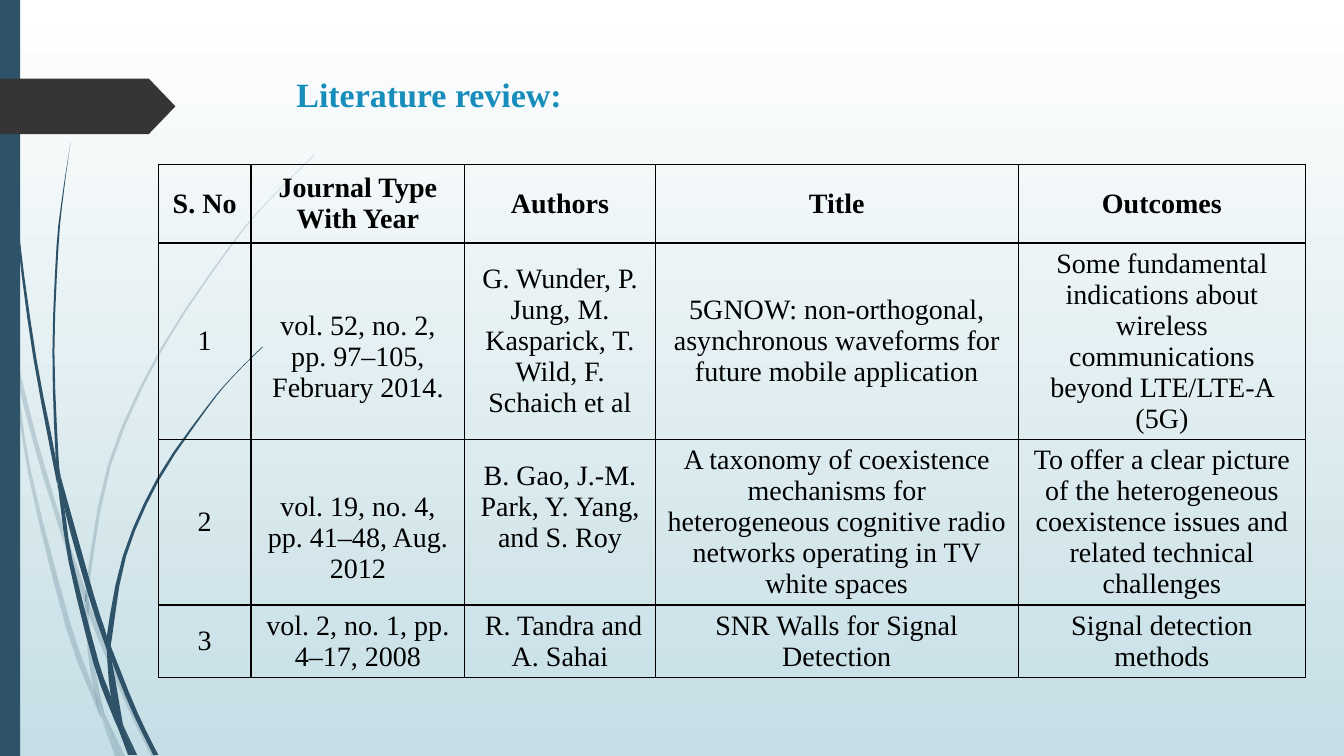
import pptx
import pptx.util
import pptx.dml.color
import pptx.enum.shapes
import pptx.enum.text
import pptx.oxml
import pptx.oxml.ns

Inches, Pt = pptx.util.Inches, pptx.util.Pt
W, H = 13.33, 7.5
FONT = "Times New Roman"
COLORS = {"navy": "2E5369", "tag": "353535", "title": "178DBB",
          "text": "000000", "top": "FFFFFF", "bottom": "C5DEE5"}

# Each piece of grass: its left edge, then its right edge, from the top down
PALE_GRASS = [
    ([(0, 2.82), (0, 2.99), (.1, 3.44), (.11, 3.5)], [(0, 2.82), (.09, 3.22), (.11, 3.5)]),
    ([(.14, 3.45), (.17, 3.76), (.36, 4.5), (.58, 5.22), (.84, 5.99)],
     [(.14, 3.45), (.36, 4.33), (.62, 5.2), (.85, 5.86), (.84, 5.99)]),
    ([(.88, 5.96), (.88, 6.1), (1.23, 6.94), (1.5, 7.5)],
     [(.88, 5.96), (.92, 6.07), (1.27, 6.92), (1.55, 7.5)]),
    ([(1.05, 7.11), (1.19, 7.5)], [(1.05, 7.11), (1.24, 7.5)]),
    ([(.11, 3.5), (.28, 4.7), (.65, 6.21), (.92, 6.93), (1.01, 7.14)],
     [(.11, 3.5), (.17, 3.76), (.31, 4.69), (.7, 6.19), (.93, 6.83), (1.01, 7.14)]),
    ([(.84, 5.99), (.87, 6.46), (.93, 6.83), (1.05, 7.11)],
     [(.84, 5.99), (.88, 6.1), (.91, 6.46), (1.03, 7.06), (1.05, 7.11)]),
    ([(3.12, 1.53), (2.68, 1.97), (2.28, 2.44), (1.58, 3.48), (1.07, 4.61), (.85, 5.84),
      (.88, 5.96)],
     [(3.12, 1.54), (2.68, 1.98), (2.29, 2.45), (1.6, 3.49), (1.1, 4.62), (.88, 5.84),
      (.88, 5.96)]),
    ([(1.01, 7.14), (1.14, 7.5)], [(1.01, 7.14), (1.19, 7.5)]),
    ([(.85, 5.86), (.84, 5.99), (.88, 6.1)], [(.85, 5.86), (.88, 5.96), (.88, 6.1)]),
    ([(.93, 6.83), (.99, 7.07), (1.19, 7.5)], [(.93, 6.83), (1.05, 7.11), (1.19, 7.5)]),
]
DARK_GRASS = [
    ([(.03, 0), (.04, .48), (.07, 1.1), (.17, 2.33), (.33, 3.55), (.56, 4.77), (.57, 4.81)],
     [(.04, 0), (.05, .48), (.08, 1.09), (.19, 2.32), (.36, 3.55), (.55, 4.53), (.57, 4.81)]),
    ([(.6, 4.72), (.64, 5.05), (.88, 5.92), (1.06, 6.45)],
     [(.6, 4.72), (.93, 5.9), (1.06, 6.31), (1.06, 6.45)]),
    ([(1.1, 6.41), (1.11, 6.56), (1.32, 7.08), (1.52, 7.49)],
     [(1.1, 6.41), (1.13, 6.49), (1.36, 7.06), (1.57, 7.49)]),
    ([(.57, 4.77), (.68, 5.57), (.93, 6.59), (1.11, 7.08), (1.17, 7.22)],
     [(.57, 4.77), (.64, 5.05), (.72, 5.56), (.98, 6.57), (1.1, 6.91), (1.17, 7.22)]),
    ([(.7, 1.41), (.62, 1.93), (.56, 2.45), (.52, 3.49), (.55, 4.49), (.6, 4.72)],
     [(.7, 1.41), (.63, 1.93), (.58, 2.45), (.54, 3.49), (.58, 4.53), (.6, 4.72)]),
    ([(1.22, 7.19), (1.33, 7.49)], [(1.22, 7.19), (1.36, 7.49)]),
    ([(.55, 4.49), (.57, 4.77), (.64, 5.05)], [(.55, 4.49), (.6, 4.72), (.64, 5.05)]),
    ([(2.6, 3.44), (2.31, 3.73), (2.04, 4.05), (1.56, 4.74), (1.22, 5.51), (1.06, 6.31),
      (1.1, 6.41)],
     [(2.61, 3.44), (2.31, 3.74), (2.05, 4.06), (1.58, 4.76), (1.25, 5.52), (1.11, 6.33),
      (1.1, 6.41)]),
    ([(1.17, 7.22), (1.27, 7.49)], [(1.17, 7.22), (1.31, 7.49)]),
    ([(1.06, 6.45), (1.1, 6.91), (1.22, 7.19)], [(1.06, 6.45), (1.11, 6.56), (1.22, 7.19)]),
    ([(1.06, 6.31), (1.06, 6.45), (1.11, 6.56)], [(1.06, 6.31), (1.1, 6.41), (1.11, 6.56)]),
    ([(1.1, 6.91), (1.17, 7.22), (1.3, 7.49)], [(1.1, 6.91), (1.22, 7.19), (1.33, 7.49)]),
]

COLUMNS = [.92, 2.12, 1.89, 3.6, 2.85]
ROWS = [.78, 1.95, 1.64, .71]
REVIEW = [
    ["S. No", "Journal Type With Year", "Authors", "Title", "Outcomes"],
    ["1", "vol. 52, no. 2, pp. 97–105, February 2014.",
     "G. Wunder, P. Jung, M. Kasparick, T. Wild, F. Schaich et al",
     "5GNOW: non-orthogonal, asynchronous waveforms for future mobile application",
     "Some fundamental indications about wireless communications beyond LTE/LTE-A (5G)"],
    ["2", "vol. 19, no. 4, pp. 41–48, Aug. 2012",
     "B. Gao, J.-M. Park, Y. Yang, and S. Roy",
     "A taxonomy of coexistence mechanisms for heterogeneous cognitive radio networks "
     "operating in TV white spaces",
     "To offer a clear picture of the heterogeneous coexistence issues and related "
     "technical challenges"],
    ["3", "vol. 2, no. 1, pp. 4–17, 2008", " R. Tandra and A. Sahai",
     "SNR Walls for Signal Detection", "Signal detection methods"],
]
LOWERED = {(1, 1), (2, 1)}  # cells whose text sits half a line low
RAISED = {(2, 2)}           # cells whose text sits half a line high


def rgb(name):
    return pptx.dml.color.RGBColor.from_string(COLORS[name])


def paint(sp, color, alpha=None):
    sp.shadow.inherit = False
    sp.fill.solid()
    sp.fill.fore_color.rgb = rgb(color)
    sp.line.fill.background()
    if alpha is not None:
        clr = sp.fill._xPr.find(".//" + pptx.oxml.ns.qn("a:srgbClr"))
        clr.append(pptx.oxml.parse_xml(
            f'<a:alpha {pptx.oxml.ns.nsdecls("a")} val="{alpha * 1000}"/>'))


def add_run(p, text, size, color, bold):
    r = p.add_run()
    r.text = text
    r.font.name, r.font.size, r.font.bold = FONT, Pt(size), bold
    r.font.color.rgb = rgb(color)


def smooth(points, steps=3):
    """Catmull-Rom curve through the points, in thousandths of an inch."""
    points = [(1000 * x, 1000 * y) for x, y in points]
    if len(points) == 2:
        return points
    ends = [points[0]] + points + [points[-1]]
    curve = [points[0]]
    for a, b, c, d in zip(ends, ends[1:], ends[2:], ends[3:]):
        for i in range(1, steps + 1):
            t = i / steps
            curve.append(tuple(
                .5 * (2 * q + (r - p) * t + (2 * p - 5 * q + 4 * r - u) * t ** 2
                      + (3 * q - p - 3 * r + u) * t ** 3)
                for p, q, r, u in zip(a, b, c, d)))
    return curve


def add_grass(s, pieces, alpha=None):
    for left, right in pieces:
        outline = smooth(left) + smooth(right)[::-1]
        builder = s.shapes.build_freeform(*outline[0], scale=Inches(1) / 1000)
        builder.add_line_segments(outline[1:], close=True)
        paint(builder.convert_to_shape(), "navy", alpha)


def add_backdrop(s):
    # Gradient from top to bottom
    fill = s.background.fill
    fill.gradient()
    fill.gradient_angle = 270
    for stop, color in zip(fill.gradient_stops, ("top", "bottom")):
        stop.color.rgb = rgb(color)
    # Grass, side bar and page tag
    add_grass(s, PALE_GRASS, 20)
    add_grass(s, DARK_GRASS)
    kinds = pptx.enum.shapes.MSO_SHAPE
    bar = s.shapes.add_shape(kinds.RECTANGLE, 0, 0, Inches(.2), Inches(H))
    paint(bar, "navy")
    tag = s.shapes.add_shape(kinds.PENTAGON, 0, Inches(.78), Inches(1.74), Inches(.55))
    tag.adjustments[0] = .48
    paint(tag, "tag")


def add_title(s, x, y, w, h, text):
    sp = s.shapes.title
    sp.left, sp.top, sp.width, sp.height = map(Inches, (x, y, w, h))
    tf = sp.text_frame
    tf.vertical_anchor = pptx.enum.text.MSO_ANCHOR.TOP
    tf.auto_size = pptx.enum.text.MSO_AUTO_SIZE.NONE
    p = tf.paragraphs[0]
    p.alignment = pptx.enum.text.PP_ALIGN.LEFT
    add_run(p, text, 24.3, "title", True)


def add_borders(cell):
    tcPr = cell._tc.get_or_add_tcPr()
    for side in "LRTB":
        tcPr.append(pptx.oxml.parse_xml(
            f'<a:ln{side} {pptx.oxml.ns.nsdecls("a")} w="12700"><a:solidFill>'
            f'<a:srgbClr val="{COLORS["text"]}"/></a:solidFill></a:ln{side}>'))


def add_review_table(s, x, y):
    table = s.shapes.add_table(len(ROWS), len(COLUMNS), Inches(x), Inches(y),
                               Inches(sum(COLUMNS)), Inches(sum(ROWS))).table
    table.first_row = table.horz_banding = False
    for column, width in zip(table.columns, COLUMNS):
        column.width = Inches(width)
    for i, (row, height) in enumerate(zip(table.rows, ROWS)):
        row.height = Inches(height)
        for j, cell in enumerate(row.cells):
            add_borders(cell)
            cell.fill.background()
            cell.vertical_anchor = pptx.enum.text.MSO_ANCHOR.MIDDLE
            cell.margin_top = Inches(.36 if (i, j) in LOWERED else .05)
            cell.margin_bottom = Inches(.36 if (i, j) in RAISED else .05)
            p = cell.text_frame.paragraphs[0]
            p.alignment = pptx.enum.text.PP_ALIGN.CENTER
            add_run(p, REVIEW[i][j], 20, "text", i == 0)


def main():
    prs = pptx.Presentation()
    prs.slide_width, prs.slide_height = Inches(W), Inches(H)
    s = prs.slides.add_slide(prs.slide_layouts[5])
    add_backdrop(s)
    add_title(s, 2.84, .68, 9.75, 1.4, "Literature review:")
    add_review_table(s, 1.57, 1.63)
    prs.save("out.pptx")


if __name__ == "__main__":
    main()
